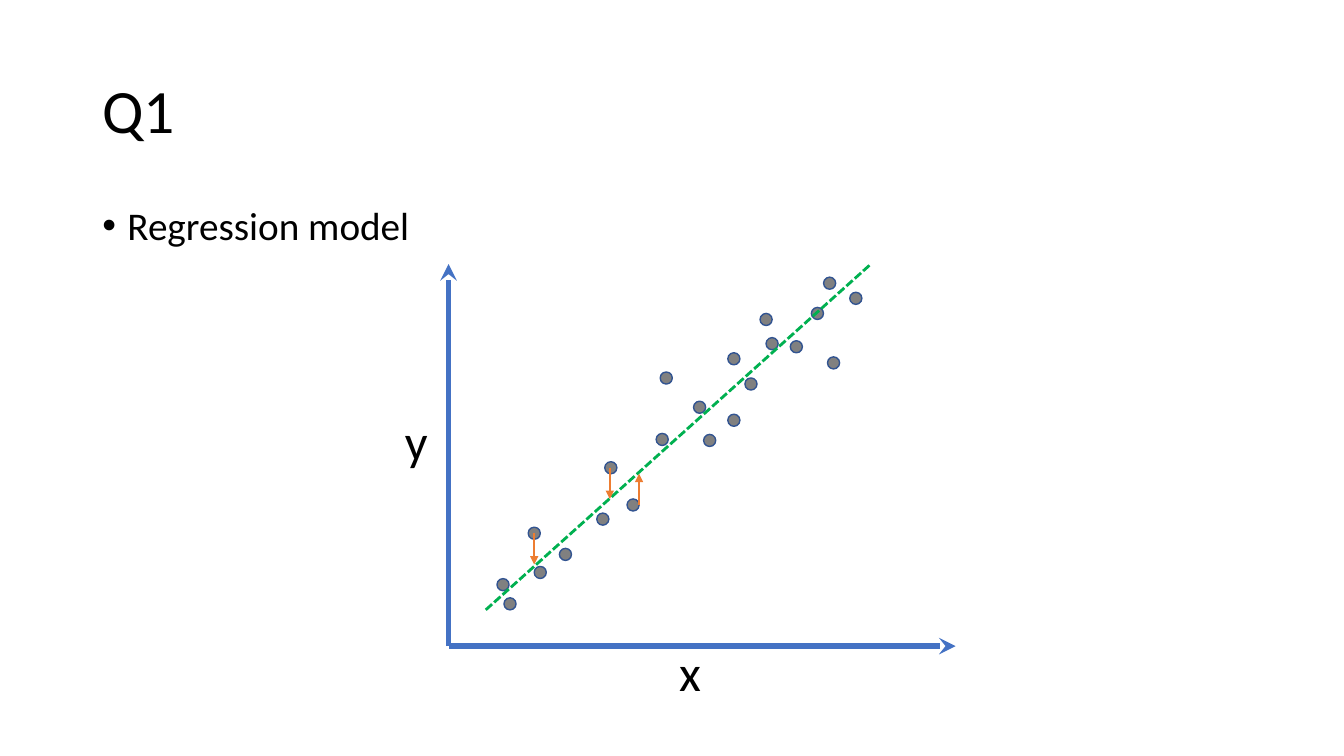
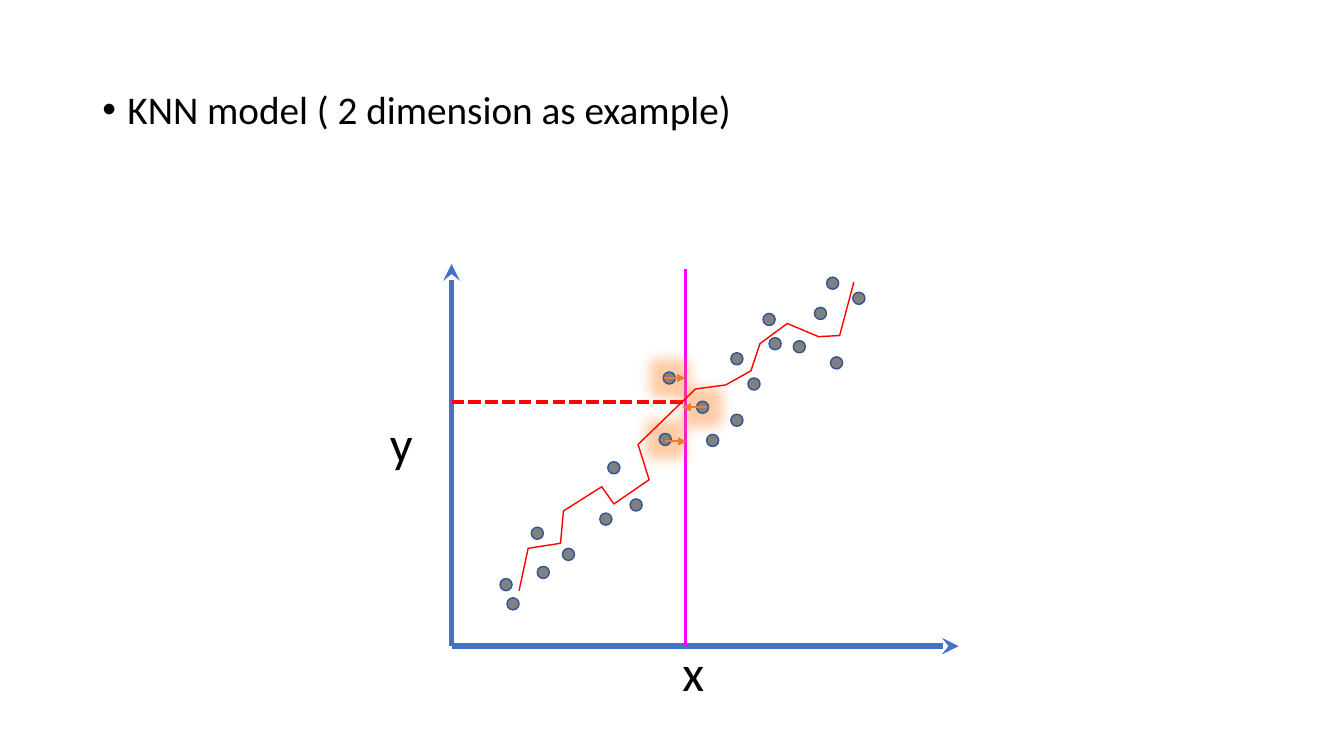
import pptx
import pptx.dml.color
import pptx.enum.dml
import pptx.enum.shapes
import pptx.enum.text
import pptx.oxml
import pptx.oxml.ns
import pptx.util

Pt = pptx.util.Pt
FONT = "Calibri"
BLACK, BLUE, GREY, NAVY = "000000", "4472C4", "808080", "325491"
ORANGE, GREEN, RED, MAGENTA = "ED7D31", "00B050", "FF0000", "FF00FF"
GLOW = "FF7E20"
DOT_SIZE = 8.64
RESIDUAL = 22.3

DOTS = [
    (43.9, 30.2), (38.9, 43.9), (65.5, 52.6), (61.2, 80.6), (83.5, 65.5),
    (110.2, 90.7), (131.8, 100.8), (115.9, 127.4), (152.6, 147.6),
    (155.5, 191.5), (186.5, 146.9), (203.8, 161.3), (179.3, 170.6),
    (203.8, 205.2), (216, 187.2), (226.8, 233.3), (248.4, 213.8),
    (275, 202.3), (231.1, 216), (263.5, 237.6), (272.2, 259.2),
    (290.9, 248.4),
]
NEIGHBOURS = [(152.6, 147.6), (155.5, 191.5), (179.3, 170.6)]
KNN_CURVE = [
    (48.2, 39.6), (54.7, 69.8), (77.8, 73.4), (79.9, 96.5), (107.3, 113.8),
    (115.9, 101.5), (141.1, 118.8), (133.2, 144), (174.2, 183.6),
    (195.8, 186.5), (213.8, 196.6), (220.3, 216), (239.8, 230.4),
    (262.1, 221), (277.2, 221.8), (287.3, 259.9),
]


def rgb(color):
    return pptx.dml.color.RGBColor.from_string(color)


def add_xml(parent, tag, inner="", **attrs):
    ns = pptx.oxml.ns.nsdecls("a")
    values = " ".join(f'{key}="{value}"' for key, value in attrs.items())
    parent.append(pptx.oxml.parse_xml(f"<a:{tag} {ns} {values}>{inner}</a:{tag}>"))


class Deck:
    """Holds the style, the current slide and the origin of its plot."""

    def __init__(self):
        self.prs = pptx.Presentation()
        self.prs.slide_width, self.prs.slide_height = Pt(960), Pt(540)

    def new_slide(self, origin_x, origin_y=461.5):
        self.s = self.prs.slides.add_slide(self.prs.slide_layouts[6])
        self.origin = origin_x, origin_y

    def place(self, point):
        return Pt(self.origin[0] + point[0]), Pt(self.origin[1] - point[1])

    def text(self, text, left, top, width, height, size):
        tf = self.s.shapes.add_textbox(Pt(left), Pt(top), Pt(width), Pt(height)).text_frame
        tf.word_wrap = True
        p = tf.paragraphs[0]
        p.text = text
        font = p.runs[0].font
        font.name, font.size, font.color.rgb = FONT, Pt(size), rgb(BLACK)
        return tf

    def title(self, text):
        tf = self.text(text, 66, 28.75, 828, 104.4, 44)
        tf.vertical_anchor = pptx.enum.text.MSO_ANCHOR.MIDDLE
        tf.paragraphs[0].line_spacing = 0.9

    def bullet(self, text, top):
        p = self.text(text, 66, top, 828, 486.5 - top, 28).paragraphs[0]
        p.line_spacing, p.space_before = 0.9, Pt(10)
        pPr = p._p.get_or_add_pPr()
        pPr.set("marL", str(Pt(18)))
        pPr.set("indent", str(Pt(-18)))
        add_xml(pPr, "buFont", typeface="Arial")
        add_xml(pPr, "buChar", char="•")

    def line(self, start, end, color, width, arrow=None, dashed=False):
        c = self.s.shapes.add_connector(
            pptx.enum.shapes.MSO_CONNECTOR.STRAIGHT, *self.place(start), *self.place(end))
        c.line.color.rgb, c.line.width = rgb(color), Pt(width)
        if dashed:
            c.line.dash_style = pptx.enum.dml.MSO_LINE.SQUARE_DOT
        spPr = c._element.spPr
        if arrow:
            add_xml(spPr.find(pptx.oxml.ns.qn("a:ln")), "tailEnd", type=arrow)
        add_xml(spPr, "effectLst")

    def arrow(self, start, end):
        self.line(start, end, ORANGE, 1.5, "triangle")

    def axes(self, y_left, y_top):
        for end in ((0, 272.9), (362.2, 0)):
            self.line((0, 0), end, BLUE, 4, "stealth")
        self.text("x", self.origin[0] + 157.7, 454.3, 24.5, 51.1, 36)
        self.text("y", y_left, y_top, 24.5, 51.1, 36)

    def dot(self, center, glow=False):
        x, y = self.place(center)
        size = Pt(DOT_SIZE)
        sp = self.s.shapes.add_shape(
            pptx.enum.shapes.MSO_SHAPE.OVAL, x - size // 2, y - size // 2, size, size)
        sp.shadow.inherit = False
        sp.fill.solid()
        sp.fill.fore_color.rgb = rgb(GREY)
        sp.line.color.rgb, sp.line.width = rgb(NAVY), Pt(1)
        if glow:
            effects = sp._element.spPr.find(pptx.oxml.ns.qn("a:effectLst"))
            color = f'<a:srgbClr val="{GLOW}"><a:alpha val="40000"/></a:srgbClr>'
            add_xml(effects, "glow", color, rad=Pt(18))

    def scatter(self, glowing=()):
        for center in DOTS:
            self.dot(center, center in glowing)

    def curve(self, points, color, width):
        start, *rest = [self.place(point) for point in points]
        builder = self.s.shapes.build_freeform(*start)
        builder.add_line_segments(rest, close=False)
        sp = builder.convert_to_shape()
        sp.shadow.inherit = False
        sp.fill.background()
        sp.line.color.rgb, sp.line.width = rgb(color), Pt(width)


def regression_slide(deck):
    deck.new_slide(320.4)
    deck.title("Q1")
    deck.bullet("Regression model", 144)
    deck.axes(282.2, 289.4)
    deck.scatter()
    deck.line((26.6, 25.9), (301.7, 272.9), GREEN, 2, dashed=True)
    for x, y, direction in ((115.2, 127.4, -1), (61.2, 80.6, -1), (136.1, 100.8, 1)):
        deck.arrow((x, y), (x, y + direction * RESIDUAL))


def knn_slide(deck):
    query_x, predicted_y = 167, 174.2
    deck.new_slide(322.56)
    deck.bullet("KNN model ( 2 dimension as example)", 61.2)
    deck.axes(271.4, 290.9)
    deck.line((0, predicted_y), (query_x, predicted_y), RED, 3, dashed=True)
    deck.line((query_x, 269.3), (query_x, 0), MAGENTA, 2)
    deck.scatter(NEIGHBOURS)
    deck.curve(KNN_CURVE, RED, 1)
    for start_x, end_x, y in ((151.9, 167, 191.5), (152.6, 167.8, 146.2), (182.2, 164.9, 170.6)):
        deck.arrow((start_x, y), (end_x, y))


def main():
    deck = Deck()
    regression_slide(deck)
    knn_slide(deck)
    deck.prs.save("out.pptx")


if __name__ == "__main__":
    main()
